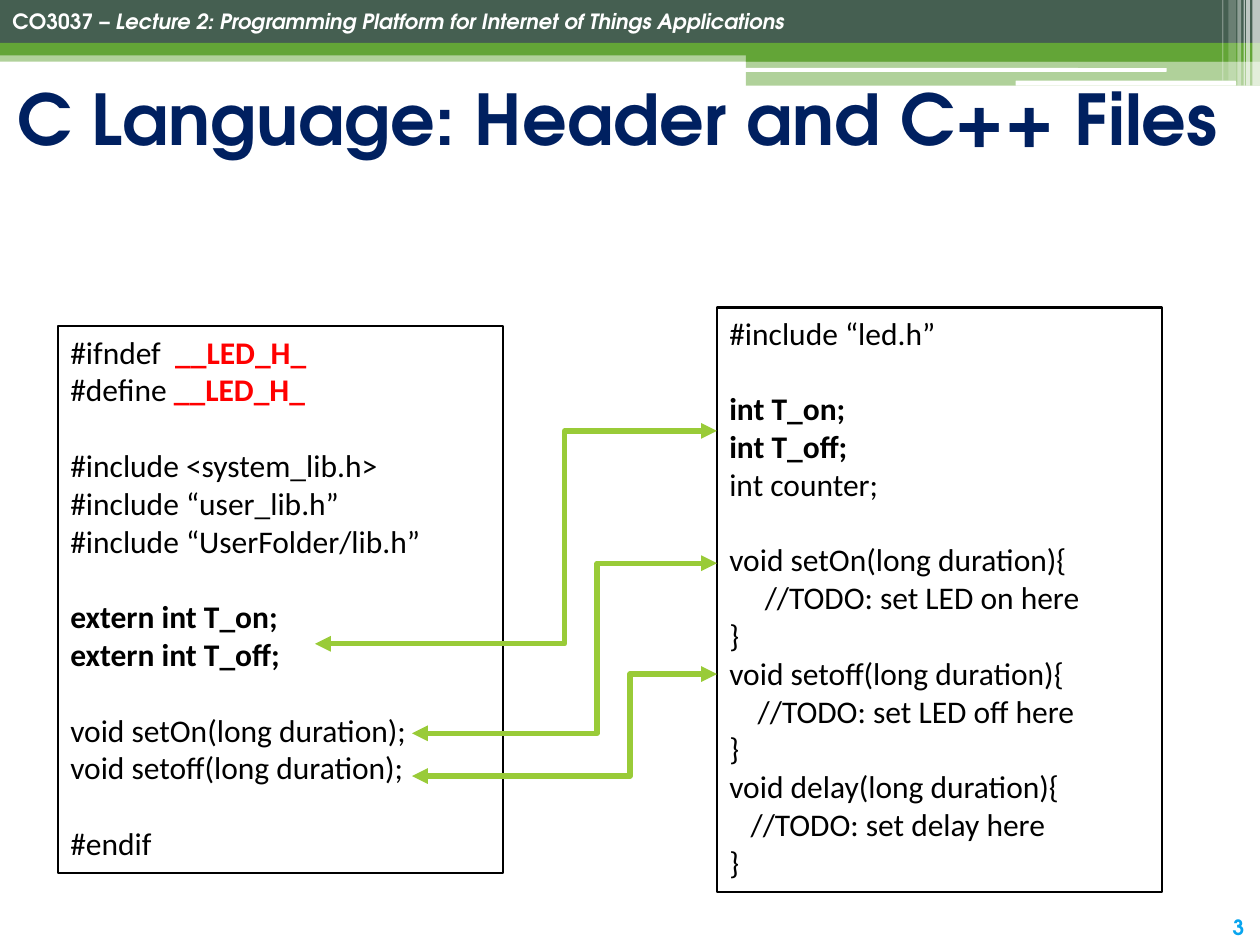
from dataclasses import dataclass

from lxml import etree
from pptx import Presentation
from pptx import util as u
from pptx.dml import color
from pptx.enum import shapes, text
from pptx.oxml import ns


@dataclass(frozen=True)
class Theme:
    dark: str = "455F51"
    green: str = "63A537"
    arrow: str = "99CB38"
    white: str = "FFFFFF"
    black: str = "000000"
    red: str = "FF0000"
    navy: str = "002060"
    blue: str = "08A5EF"
    display: str = "TeX Gyre Adventor"
    body: str = "Calibri"
    small: float = 12
    code: float = 18
    title: float = 40
    code_line: float = 21.6


THEME = Theme()
PLAIN = {"name": THEME.body, "size": u.Pt(THEME.code), "bold": False, "color": THEME.black}
BOLD = PLAIN | {"bold": True}
GUARD = BOLD | {"color": THEME.red}
SMALL = {"name": THEME.display, "size": u.Pt(THEME.small), "bold": True, "color": THEME.white}

HEADER_FILE = [
    [[("#ifndef  ", PLAIN), ("__LED_H_", GUARD)], [("#define ", PLAIN), ("__LED_H_", GUARD)]],
    [[("#include <system_lib.h>", PLAIN)], [("#include “user_lib.h”", PLAIN)],
     [("#include “UserFolder/lib.h”", PLAIN)]],
    [[("extern int T_on;", BOLD)], [("extern int T_off;", BOLD)]],
    [[("void setOn(long duration);", PLAIN)], [("void setoff(long duration);", PLAIN)]],
    [[("#endif", PLAIN)]],
]
SOURCE_FILE = [
    [[("#include “led.h”", PLAIN)]],
    [[("int T_on;", BOLD)], [("int T_off;", BOLD)], [("int counter;", PLAIN)]],
    [[(line, PLAIN)] for line in (
        "void setOn(long duration){", "     //TODO: set LED on here", "}",
        "void setoff(long duration){", "    //TODO: set LED off here", "}",
        "void delay(long duration){", "   //TODO: set delay here", "}")],
]


def inches(*values):
    return [u.Inches(value) for value in values]


def add_spans(para, spans):
    for words, style in spans:
        span = para.add_run()
        span.text = words
        for name, value in style.items():
            if name == "color":
                span.font.color.rgb = color.RGBColor.from_string(value)
            else:
                setattr(span.font, name, value)


def add_bar(page, box, fill, opacity=100, kind=shapes.MSO_SHAPE.RECTANGLE):
    bar = page.shapes.add_shape(kind, *inches(*box))
    bar.shadow.inherit = False
    bar.line.fill.background()
    bar.fill.solid()
    bar.fill.fore_color.rgb = color.RGBColor.from_string(fill)
    if opacity < 100:
        tone = bar.fill._xPr.find(".//" + ns.qn("a:srgbClr"))
        etree.SubElement(tone, ns.qn("a:alpha"), val=str(opacity * 1000))


def add_label(page, box, spans, paragraph_format, **frame_format):
    label = page.shapes.add_textbox(*inches(*box))
    for name, value in frame_format.items():
        setattr(label.text_frame, name, value)
    para = label.text_frame.paragraphs[0]
    for name, value in paragraph_format.items():
        setattr(para, name, value)
    add_spans(para, spans)


def add_banner(page, box):
    left, top, width, height = box
    right = left + width
    step = left + 5.92
    add_bar(page, (left, top + 0.4, width, 0.09), THEME.green, 50)
    add_bar(page, (left, top, width, 0.34), THEME.dark)
    add_bar(page, (left, top + 0.34, width, 0.1), THEME.green)
    add_bar(page, (step, top + 0.39, right - step, 0.1), THEME.green)
    add_bar(page, (step, top + 0.48, right - step, height - 0.48), THEME.green, 50)
    for x, y, length, thickness in ((5.91, 0.54, 3.35, 0.03), (8.06, 0.64, 1.75, 0.04)):
        add_bar(page, (left + x, top + y, length, thickness), THEME.white,
                kind=shapes.MSO_SHAPE.ROUNDED_RECTANGLE)
    for inset, stripe, drop, opacity in (
            (0.06, 0.06, 0, 65), (0.11, 0.03, 0, 65), (0.13, 0.01, 0, 60),
            (0.18, 0.03, 0, 40), (0.25, 0.06, 0.04, 20), (0.3, 0.01, 0.04, 30)):
        add_bar(page, (right - inset, top, stripe, height - drop), THEME.white, opacity)
    add_label(page, (left, top + 0.02, 6.41, 0.3), [
        ("CO3037 – ", SMALL),
        ("Lecture 2: Programming Platform for Internet of Things Applications",
         SMALL | {"italic": True}),
    ], {"alignment": text.PP_ALIGN.LEFT}, word_wrap=False,
        auto_size=text.MSO_AUTO_SIZE.SHAPE_TO_FIT_TEXT)


def add_title(page, box):
    style = SMALL | {"size": u.Pt(THEME.title), "color": THEME.navy}
    add_label(page, box, [("C Language: Header and C++ Files", style)],
              {"alignment": text.PP_ALIGN.LEFT}, word_wrap=True,
              vertical_anchor=text.MSO_ANCHOR.MIDDLE)


def add_page_number(page, box):
    add_label(page, box, [("3", SMALL | {"color": THEME.blue})],
              {"alignment": text.PP_ALIGN.CENTER}, word_wrap=False)


def add_code_box(page, box, blocks):
    panel = page.shapes.add_shape(shapes.MSO_SHAPE.RECTANGLE, *inches(*box))
    panel.shadow.inherit = False
    panel.fill.background()
    panel.line.color.rgb = color.RGBColor.from_string(THEME.black)
    panel.line.width = u.Pt(1.25)
    frame = panel.text_frame
    frame.word_wrap = True
    frame.vertical_anchor = text.MSO_ANCHOR.TOP
    para = frame.paragraphs[0]
    for block_index, block in enumerate(blocks):
        for line_index, spans in enumerate(block):
            if block_index or line_index:
                para = frame.add_paragraph()
            para.alignment = text.PP_ALIGN.LEFT
            if block_index and not line_index:
                para.space_before = u.Pt(THEME.code_line)
            add_spans(para, spans)


def add_link(page, start, end, bend):
    link = page.shapes.add_connector(shapes.MSO_CONNECTOR.ELBOW, *inches(*start, *end))
    link.line.color.rgb = color.RGBColor.from_string(THEME.arrow)
    link.line.width = u.Pt(3)
    ratio = round((bend - start[0]) / (end[0] - start[0]) * 100000)
    guides = link._element.spPr.find(ns.qn("a:prstGeom")).get_or_add_avLst()
    etree.SubElement(guides, ns.qn("a:gd"), name="adj1", fmla=f"val {ratio}")
    outline = link.line._get_or_add_ln()
    for end_name in ("a:headEnd", "a:tailEnd"):
        etree.SubElement(outline, ns.qn(end_name), type="triangle")
    etree.SubElement(link._element.spPr, ns.qn("a:effectLst"))


def add_code_comparison(page, box):
    left, top, width, height = box
    panel = 3.53
    source_left = left + width - panel
    add_code_box(page, (left, top + 0.15, panel, 4.34), HEADER_FILE)
    add_code_box(page, (source_left, top, panel, height), SOURCE_FILE)
    for x, start, end, bend in ((2.04, 2.67, 0.98, 4.02), (2.81, 3.38, 2.03, 4.28),
                                (2.81, 3.72, 2.91, 4.54)):
        add_link(page, (left + x, top + start), (source_left, top + end), left + bend)


def main():
    deck = Presentation()
    deck.slide_width, deck.slide_height = inches(10, 7.5)
    page = deck.slides.add_slide(deck.slide_layouts[6])
    add_banner(page, (0, 0, 10, 0.68))
    add_page_number(page, (9.64, 7.21, 0.38, 0.3))
    add_title(page, (0.04, 0.52, 9.85, 0.82))
    add_code_comparison(page, (0.46, 2.44, 8.76, 4.64))
    deck.save("out.pptx")


if __name__ == "__main__":
    main()
